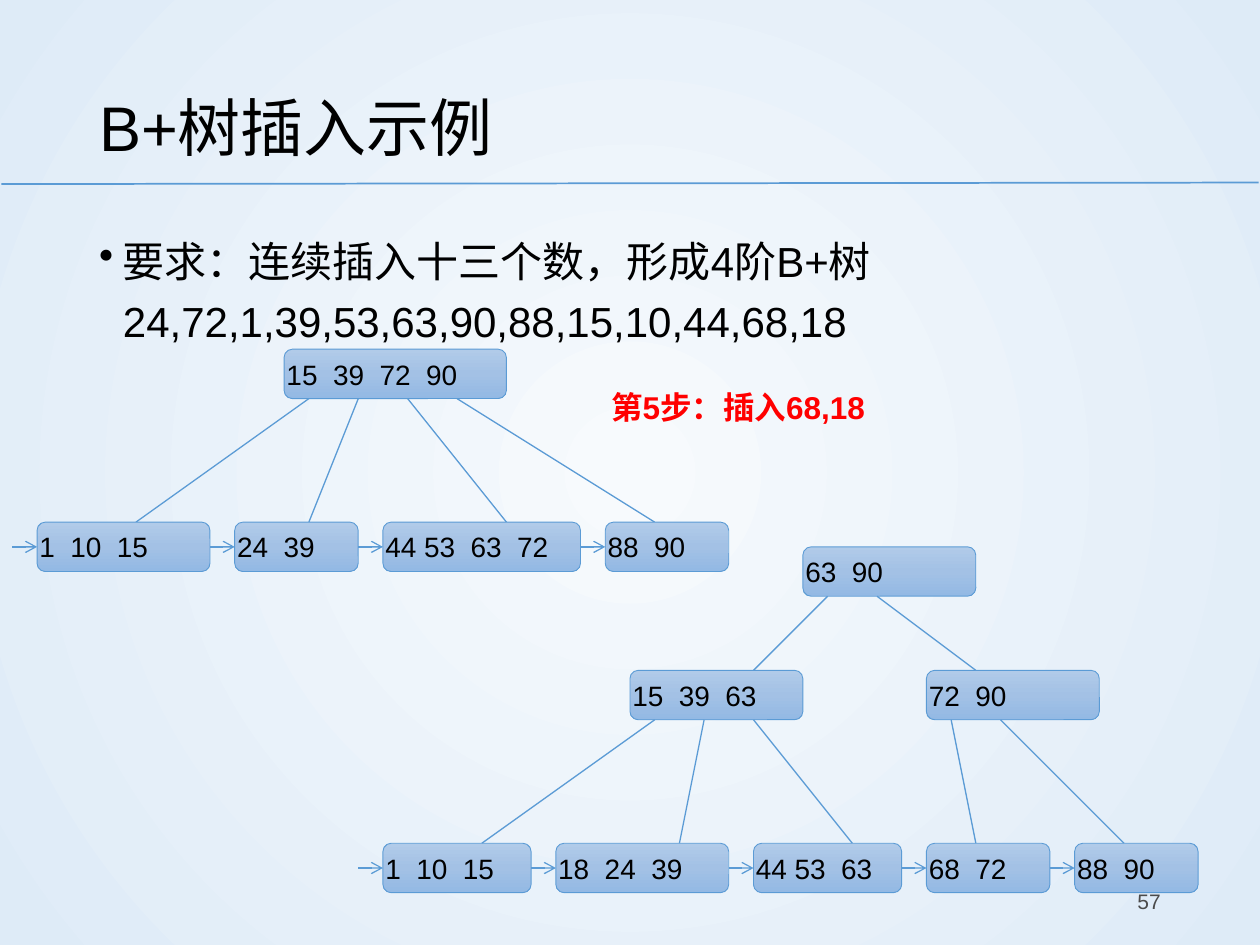
from dataclasses import dataclass
from typing import Optional

from lxml import etree
from pptx import Presentation
from pptx.dml.color import RGBColor
from pptx.enum.shapes import MSO_CONNECTOR, MSO_SHAPE
from pptx.enum.text import MSO_ANCHOR, PP_ALIGN
from pptx.oxml.ns import qn
from pptx.util import Cm, Pt

LINE = MSO_CONNECTOR.STRAIGHT
ROUND = MSO_SHAPE.ROUNDED_RECTANGLE
MIDDLE, TOP = MSO_ANCHOR.MIDDLE, MSO_ANCHOR.TOP
LEFT, RIGHT = PP_ALIGN.LEFT, PP_ALIGN.RIGHT
LEFT_SIDE, RIGHT_SIDE = 1, 3

FONT = "Arial"
BLACK, BLUE = "000000", "5B9BD5"
NODE_FILL = [(0, "B1CBE9"), (50, "A3C1E5"), (100, "93B9E4")]
BACK_FILL = [(0, "F7FAFD"), (100, "DEEBF7")]

# The trees sit on a square grid
UNIT = Cm(24.9) / 50
LEFT_EDGE, TOP_EDGE = Cm(0.25), Cm(7.04)
NODE_ROWS = 2


@dataclass
class Node:
    text: str
    col: int
    row: int
    cols: int
    entry: int = 0  # grid units from the left side to the incoming edge
    kids: tuple["Node", ...] = ()


def grid_x(col: float) -> int:
    return round(LEFT_EDGE + col * UNIT)


def grid_y(row: float) -> int:
    return round(TOP_EDGE + row * UNIT)


def color(code: str) -> RGBColor:
    return RGBColor.from_string(code)


def set_stops(grad, stops: list[tuple[int, str]]) -> None:
    group = grad.find(qn("a:gsLst"))
    for old in list(group):
        group.remove(old)
    for place, code in stops:
        stop = etree.SubElement(group, qn("a:gs"), pos=str(place * 1000))
        etree.SubElement(stop, qn("a:srgbClr"), val=code)


def paint_back(slide) -> None:
    slide.background.fill.gradient()
    grad = slide.background._cSld.find(".//" + qn("a:gradFill"))
    set_stops(grad, BACK_FILL)
    grad.remove(grad.find(qn("a:lin")))
    ring = etree.SubElement(grad, qn("a:path"), path="circle")
    etree.SubElement(ring, qn("a:fillToRect"), l="50000", t="50000", r="50000", b="50000")


def style_text(para, size: float, code: str, bold: bool = False) -> None:
    for run in para.runs:
        font = run.font
        font.name, font.size, font.bold = FONT, Pt(size), bold
        font.color.rgb = color(code)


def add_text(slide, text: str, box: tuple, size: float, code: str = BLACK,
             anchor=TOP, align=LEFT, bold: bool = False):
    frame = slide.shapes.add_textbox(*(Cm(n) for n in box)).text_frame
    frame.word_wrap = True
    frame.vertical_anchor = anchor
    frame.text = text
    para = frame.paragraphs[0]
    para.alignment = align
    style_text(para, size, code, bold)
    return para


def add_bullet(para) -> None:
    props = para._p.get_or_add_pPr()
    props.set("marL", str(Cm(0.48)))
    props.set("indent", str(-Cm(0.48)))
    etree.SubElement(props, qn("a:buChar"), char="•")


def add_line(slide, x1: int, y1: int, x2: int, y2: int,
             width: float = 0.75, arrow: bool = False):
    line = slide.shapes.add_connector(LINE, x1, y1, x2, y2)
    line.line.color.rgb = color(BLUE)
    line.line.width = Pt(width)
    if arrow:
        etree.SubElement(line.line._get_or_add_ln(), qn("a:tailEnd"), type="arrow")
    etree.SubElement(line._element.spPr, qn("a:effectLst"))
    return line


def add_node(slide, node: Node):
    shape = slide.shapes.add_shape(
        ROUND, grid_x(node.col), grid_y(node.row),
        round(node.cols * UNIT), round(NODE_ROWS * UNIT))
    shape.shadow.inherit = False
    shape.fill.gradient()
    shape.fill.gradient_angle = 270
    set_stops(shape._element.spPr.find(qn("a:gradFill")), NODE_FILL)
    shape.line.color.rgb = color(BLUE)
    shape.line.width = Pt(0.5)
    frame = shape.text_frame
    frame.margin_left = frame.margin_top = frame.margin_bottom = 0
    frame.margin_right = Cm(0.5)
    frame.vertical_anchor = MIDDLE
    frame.text = node.text
    frame.paragraphs[0].alignment = LEFT
    style_text(frame.paragraphs[0], 16, BLACK)
    return shape


def add_tree(slide, node: Node) -> None:
    """Draw a node, its edges and everything below it."""
    add_node(slide, node)
    for i, kid in enumerate(node.kids):
        add_line(slide, grid_x(node.col + 1 + 2 * i), grid_y(node.row + NODE_ROWS),
                 grid_x(kid.col + kid.entry), grid_y(kid.row))
        if kid.kids:
            add_tree(slide, kid)


def add_leaves(slide, leaves: tuple[Node, ...]) -> None:
    """Draw the leaves, chained from left to right."""
    last: Optional[object] = None
    for leaf in leaves:
        shape = add_node(slide, leaf)
        y = grid_y(leaf.row + NODE_ROWS / 2)
        link = add_line(slide, grid_x(leaf.col - 1), y, grid_x(leaf.col), y, arrow=True)
        if last is not None:
            link.begin_connect(last, RIGHT_SIDE)
        link.end_connect(shape, LEFT_SIDE)
        last = shape


OLD_LEAVES = (
    Node("1  10  15", 1, 7, 7, 4),
    Node("24  39", 9, 7, 5, 3),
    Node("44 53  63  72", 15, 7, 8, 5),
    Node("88  90", 24, 7, 5, 2),
)
OLD_ROOT = Node("15  39  72  90", 11, 0, 9, kids=OLD_LEAVES)

NEW_LEAVES = (
    Node("1  10  15", 15, 20, 6, 4),
    Node("18  24  39", 22, 20, 7, 5),
    Node("44 53  63", 30, 20, 6, 4),
    Node("68  72", 37, 20, 5, 2),
    Node("88  90", 43, 20, 5, 2),
)
NEW_ROOT = Node("63  90", 32, 8, 7, kids=(
    Node("15  39  63", 25, 13, 7, 5, NEW_LEAVES[:3]),
    Node("72  90", 37, 13, 7, 2, NEW_LEAVES[3:]),
))


def main() -> None:
    deck = Presentation()
    deck.slide_width, deck.slide_height = Cm(25.4), Cm(19.05)
    slide = deck.slides.add_slide(deck.slide_layouts[6])
    paint_back(slide)

    # Heading and task
    add_line(slide, Cm(0.03), Cm(3.71), Cm(25.37), Cm(3.68), width=1)
    title = add_text(slide, "B+树插入示例", (1.75, 1.02, 21.9, 2.74), 36, anchor=MIDDLE)
    task = add_text(slide, "要求：连续插入十三个数，形成4阶B+树24,72,1,39,53,63,90,88,15,10,44,68,18",
                    (1.75, 4.42, 21.9, 12.09), 24)
    add_bullet(task)
    title.line_spacing = task.line_spacing = 1.2

    # Page number and step label
    add_text(slide, "57", (17.93, 17.65, 5.72, 1.02), 12, "4B4B4B", MIDDLE, RIGHT)
    add_text(slide, "第5步：插入68,18", (12.07, 7.7, 9.47, 1.02), 18, "FF0000", bold=True)

    # Trees before and after the split
    for root, leaves in ((OLD_ROOT, OLD_LEAVES), (NEW_ROOT, NEW_LEAVES)):
        add_tree(slide, root)
        add_leaves(slide, leaves)

    deck.save("out.pptx")


if __name__ == "__main__":
    main()
